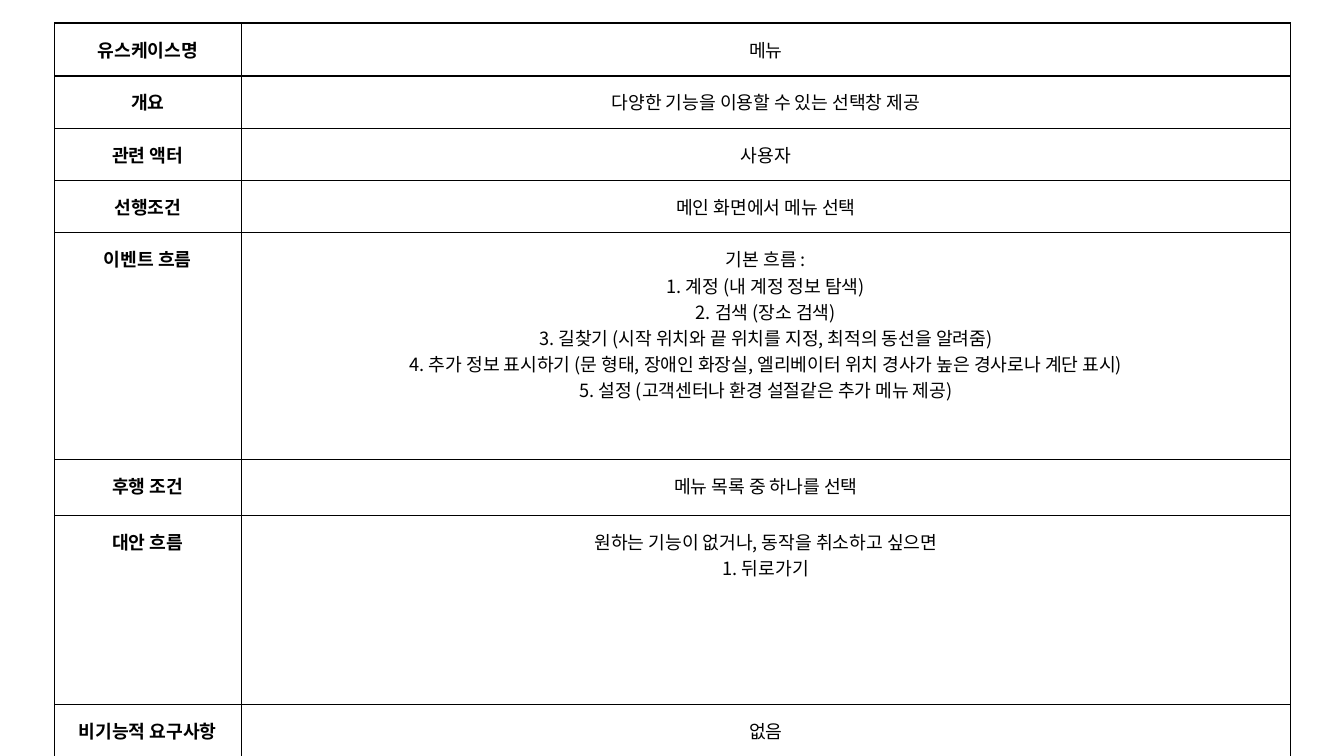
from lxml.etree import SubElement
from pptx import Presentation
from pptx.dml.color import RGBColor
from pptx.enum.text import MSO_ANCHOR, PP_ALIGN
from pptx.oxml import parse_xml
from pptx.oxml.ns import nsdecls, qn
from pptx.util import Inches, Pt

USE_CASE = [
    ("유스케이스명", 0.47, ["메뉴"]),
    ("개요", 0.47, ["다양한 기능을 이용할 수 있는 선택창 제공"]),
    ("관련 액터", 0.47, ["사용자"]),
    ("선행조건", 0.47, ["메인 화면에서 메뉴 선택"]),
    ("이벤트 흐름", 2.25, [
        "기본 흐름 :",
        "1. 계정 (내 계정 정보 탐색)",
        "2. 검색 (장소 검색)",
        "3. 길찾기 (시작 위치와 끝 위치를 지정, 최적의 동선을 알려줌)",
        "4. 추가 정보 표시하기 (문 형태, 장애인 화장실, 엘리베이터 위치 경사가 높은 경사로나 계단 표시)",
        "5. 설정 (고객센터나 환경 설절같은 추가 메뉴 제공)",
    ]),
    ("후행 조건", 0.55, ["메뉴 목록 중 하나를 선택"]),
    ("대안 흐름", 1.88, [
        "원하는 기능이 없거나, 동작을 취소하고 싶으면",
        "1. 뒤로가기",
    ]),
    ("비기능적 요구사항", 0.47, ["없음"]),
]


def rgb(value):
    return RGBColor.from_string(value)


class UseCaseSlide:
    """Holds the style and the slide of a use case description."""

    font = "Noto Sans CJK KR"
    size = Pt(13)
    ink = "000000"
    margin = Inches(0.13)
    thin, thick = Pt(0.75), Pt(1.5)

    def __init__(self, deck):
        self.slide = deck.slides.add_slide(deck.slide_layouts[6])

    def table(self, left, top, widths, rows):
        height = sum(row_height for _, row_height, _ in rows)
        grid = self.slide.shapes.add_table(
            len(rows), len(widths), Inches(left), Inches(top),
            Inches(sum(widths)), Inches(height)).table
        grid.first_row = grid.horz_banding = False
        for column, width in zip(grid.columns, widths):
            column.width = Inches(width)
        for index, (label, row_height, lines) in enumerate(rows):
            grid.rows[index].height = Inches(row_height)
            above = self.thick if index < 2 else self.thin
            below = self.thick if index == 0 else self.thin
            self.cell(grid.cell(index, 0), [label], True, above, below)
            self.cell(grid.cell(index, 1), lines, False, above, below)

    def cell(self, cell, lines, bold, above, below):
        cell.margin_left = cell.margin_right = self.margin
        cell.margin_top = cell.margin_bottom = self.margin
        cell.vertical_anchor = MSO_ANCHOR.TOP
        cell.fill.background()
        cell.text_frame.text = "\n".join(lines)
        for paragraph in cell.text_frame.paragraphs:
            paragraph.alignment = PP_ALIGN.CENTER
            for run in paragraph.runs:
                self.style(run, bold)
        self.borders(cell, {"L": self.thin, "R": self.thin, "T": above, "B": below})

    def style(self, run, bold):
        run.font.name = self.font
        run.font.size = self.size
        run.font.bold = bold
        run.font.color.rgb = rgb(self.ink)
        SubElement(run.font._element, qn("a:ea")).set("typeface", self.font)

    def borders(self, cell, sides):
        properties = cell._tc.get_or_add_tcPr()
        for position, (side, width) in enumerate(sides.items()):
            properties.insert(position, parse_xml(
                f'<a:ln{side} {nsdecls("a")} w="{int(width)}"><a:solidFill>'
                f'<a:srgbClr val="{self.ink}"/></a:solidFill></a:ln{side}>'))


def main():
    deck = Presentation()
    deck.slide_width, deck.slide_height = Inches(13.33), Inches(7.5)
    UseCaseSlide(deck).table(0.54, 0.23, [1.85, 10.41], USE_CASE)
    deck.save("out.pptx")


if __name__ == "__main__":
    main()
